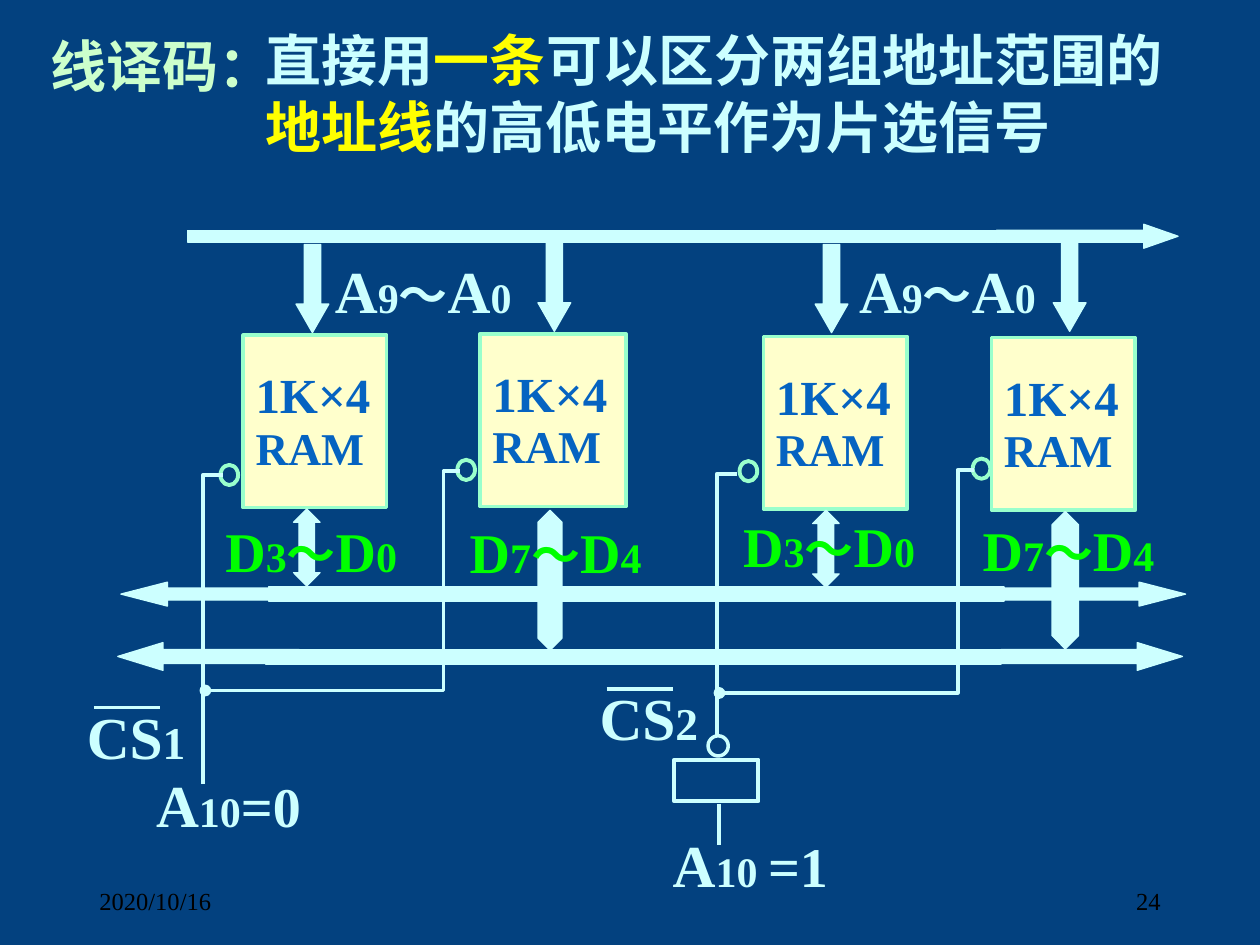
from lxml import etree
from pptx import Presentation
from pptx.dml.color import RGBColor
from pptx.enum.shapes import MSO_CONNECTOR, MSO_SHAPE
from pptx.enum.text import MSO_ANCHOR, PP_ALIGN
from pptx.oxml.ns import qn
from pptx.util import Inches, Pt

RECT, OVAL = MSO_SHAPE.RECTANGLE, MSO_SHAPE.OVAL
RIGHT, LEFT = MSO_SHAPE.RIGHT_ARROW, MSO_SHAPE.LEFT_ARROW
DOWN, UP_DOWN = MSO_SHAPE.DOWN_ARROW, MSO_SHAPE.UP_DOWN_ARROW
STRAIGHT = MSO_CONNECTOR.STRAIGHT
TOP, MIDDLE = MSO_ANCHOR.TOP, MSO_ANCHOR.MIDDLE
ALIGN_LEFT, ALIGN_RIGHT = PP_ALIGN.LEFT, PP_ALIGN.RIGHT

FONT = "Times New Roman"
NAVY, ICE, MINT, CREAM = "03417F", "CCFFFF", "99FFCC", "FFFFCC"
PALE_GREEN, GREEN, YELLOW = "CCFFCC", "00FF00", "FFFF00"
BLUE, BLACK = "0563C1", "000000"
COLUMNS, ROWS = 100, 75


def color(hex_text):
    return RGBColor.from_string(hex_text)


class Board:
    """Current slide with its grid and drawing style."""

    def __init__(self, deck):
        self.page = deck.slides.add_slide(deck.slide_layouts[6])
        self.column = deck.slide_width / COLUMNS
        self.row = deck.slide_height / ROWS
        fill = self.page.background.fill
        fill.solid()
        fill.fore_color.rgb = color(NAVY)

    def place(self, *lengths):
        """Turn alternating columns and rows into slide lengths."""
        units = (self.column, self.row)
        return [round(n * units[i % 2]) for i, n in enumerate(lengths)]

    def outline(self, item, line, weight):
        item.line.color.rgb = color(line)
        item.line.width = Pt(weight)

    def add_spans(self, para, spans, ink, bold=True):
        """Add (text, size[, colour]) runs to a paragraph."""
        for text, size, *own_ink in spans:
            span = para.add_run()
            span.text = text
            span.font.name = FONT
            span.font.size = Pt(size)
            span.font.bold = bold
            span.font.color.rgb = color(own_ink[0] if own_ink else ink)

    def text(self, at, spans, ink=ICE, bold=True, align=ALIGN_LEFT, anchor=TOP):
        box = self.page.shapes.add_textbox(*self.place(*at))
        frame = box.text_frame
        frame.word_wrap = True
        frame.vertical_anchor = anchor
        para = frame.paragraphs[0]
        para.alignment = align
        self.add_spans(para, spans, ink, bold)

    def shape(self, kind, at, fill=ICE, line=ICE, weight=0.75, adjust=()):
        item = self.page.shapes.add_shape(kind, *self.place(*at))
        item.shadow.inherit = False
        for i, value in enumerate(adjust):
            item.adjustments[i] = value
        if fill:
            item.fill.solid()
            item.fill.fore_color.rgb = color(fill)
        else:
            item.fill.background()
        self.outline(item, line, weight)
        return item

    def line(self, start, end):
        item = self.page.shapes.add_connector(
            STRAIGHT, *self.place(*start), *self.place(*end))
        self.outline(item, ICE, 2.25)
        etree.SubElement(item.element.spPr, qn("a:effectLst"))

    def wire(self, points, dot=False):
        start, *others = [self.place(*point) for point in points]
        builder = self.page.shapes.build_freeform(*start)
        builder.add_line_segments(others, close=False)
        item = builder.convert_to_shape()
        item.shadow.inherit = False
        item.fill.background()
        self.outline(item, ICE, 2.25)
        if dot:
            stroke = item.element.spPr.find(qn("a:ln"))
            etree.SubElement(stroke, qn("a:tailEnd"), type="oval")

    def chip(self, at):
        item = self.shape(RECT, at, CREAM, MINT, 2)
        frame = item.text_frame
        frame.word_wrap = True
        frame.vertical_anchor = TOP
        rows = (("1K×4", 28, 1.4), ("RAM", 26, 0.95))
        for i, (text, size, spacing) in enumerate(rows):
            para = frame.add_paragraph() if i else frame.paragraphs[0]
            para.alignment = ALIGN_LEFT
            para.line_spacing = spacing
            self.add_spans(para, [(text, size)], BLUE)

    def signal_range(self, at, letter, first, last, size, ink):
        self.text(at, [(letter, size), (first, 24), ("～", 28),
                       (letter, size), (last, 24)], ink)

    def data_bus(self, left, top, height, bar_top, head):
        """Two-headed bus: a bar with an arrow at each end."""
        self.shape(RECT, (left + 11.7, bar_top, 58.4, 1.1))
        for kind, x in ((RIGHT, left + 70.1), (LEFT, left)):
            self.shape(kind, (x, top, 14.4, height), adjust=(0.5, head))

    def chip_select(self, digit, left, top):
        self.text((left, top, 12.1, 6.7), [("CS", 34), (digit, 26)])
        self.line((left + 1.55, top + 1.05), (left + 6.8, top + 1.05))


def main():
    deck = Presentation()
    deck.slide_width, deck.slide_height = Inches(10), Inches(7.5)
    board = Board(deck)

    # Footer and heading
    board.text((6.9, 69.5, 22.5, 4), [("2020/10/16", 14)], BLACK, False, anchor=MIDDLE)
    board.text((70.6, 69.5, 22.5, 4), [("24", 14)], BLACK, False, ALIGN_RIGHT, MIDDLE)
    board.text((3, 2, 25.3, 6.3), [("线译码：", 32)], PALE_GREEN)

    # Address bus and its branches
    board.shape(RECT, (14.9, 18.3, 64.2, 0.9))
    board.shape(RIGHT, (79.1, 17.8, 14.4, 1.9), adjust=(0.5, 1.43))
    for x, y in ((23.5, 19.4), (83.6, 19.3), (64.7, 19.4), (42.7, 19.3)):
        board.shape(DOWN, (x, y, 2.6, 7), adjust=(0.5, 0.87))
    for x in (25.6, 67.2):
        board.signal_range((x, 19.7, 18.4, 6.7), "A", "9", "0", 34, ICE)

    # Memory chips with their select inputs
    for x, y, width, pin_x, pin_y in ((60.6, 26.7, 11.4, 58.7, 36.6),
                                      (78.7, 26.8, 11.4, 77.2, 36.4),
                                      (19.3, 26.6, 11.4, 17.5, 36.9),
                                      (38.1, 26.5, 11.6, 36.3, 36.5)):
        board.chip((x, y, width, 13.7))
        board.shape(OVAL, (pin_x, pin_y, 1.4, 1.6), None, MINT, 2.25)

    # Data buses, branches and labels
    board.data_bus(9.6, 46.2, 1.9, 46.6, 1.94)
    board.data_bus(9.35, 51, 2.2, 51.6, 1.63)
    for x, y, width, height, head in ((83.5, 40.6, 2.1, 10.9, 1.04),
                                      (42.7, 40.5, 1.9, 11.1, 1.15),
                                      (23.3, 40.4, 2.1, 6.1, 0.59),
                                      (64.5, 40.5, 2.1, 6.1, 0.59)):
        board.shape(UP_DOWN, (x, y, width, height), adjust=(0.5, head))
    for x, y, first, last in ((16.9, 40.5, "3", "0"), (36.3, 40.6, "7", "4"),
                              (58, 40.1, "3", "0"), (77, 40.4, "7", "4")):
        board.signal_range((x, y, 18.4, 6.3), "D", first, last, 32, GREEN)

    # Chip select wiring of both groups
    for x, y, low, end in ((16.1, 37.4, 54.8, 62.2), (56.9, 37.3, 55, 58.4)):
        board.wire([(x + 20.4, y), (x + 19.1, y), (x + 19.1, low), (x + 0.2, low)], dot=True)
        board.wire([(x + 1.6, y + 0.3), (x, y + 0.3), (x, end)])
    board.chip_select("1", 5.9, 55.1)
    board.chip_select("2", 46.6, 53.6)

    # Definition
    board.text((20.1, 1.5, 73.8, 11.7), [
        ("直接用", 32), ("一条", 32, YELLOW), ("可以区分两组地址范围的", 32),
        ("地址线", 32, YELLOW), ("的高低电平作为片选信号", 32)])

    # Address line levels and the inverter
    board.text((11.4, 60.5, 18.3, 6.7), [("A", 34), ("10", 24), ("=0", 32)])
    board.text((52.4, 65.2, 16.5, 6.7), [("A", 34), ("10 ", 24), ("=1", 32)])
    board.line((57.1, 63.8), (57.1, 67.1))
    board.shape(OVAL, (56.2, 58.4, 1.6, 1.6), None, ICE, 2)
    board.shape(RECT, (53.5, 60.3, 6.7, 3.3), None, ICE, 2.25)

    deck.save("out.pptx")


if __name__ == "__main__":
    main()
